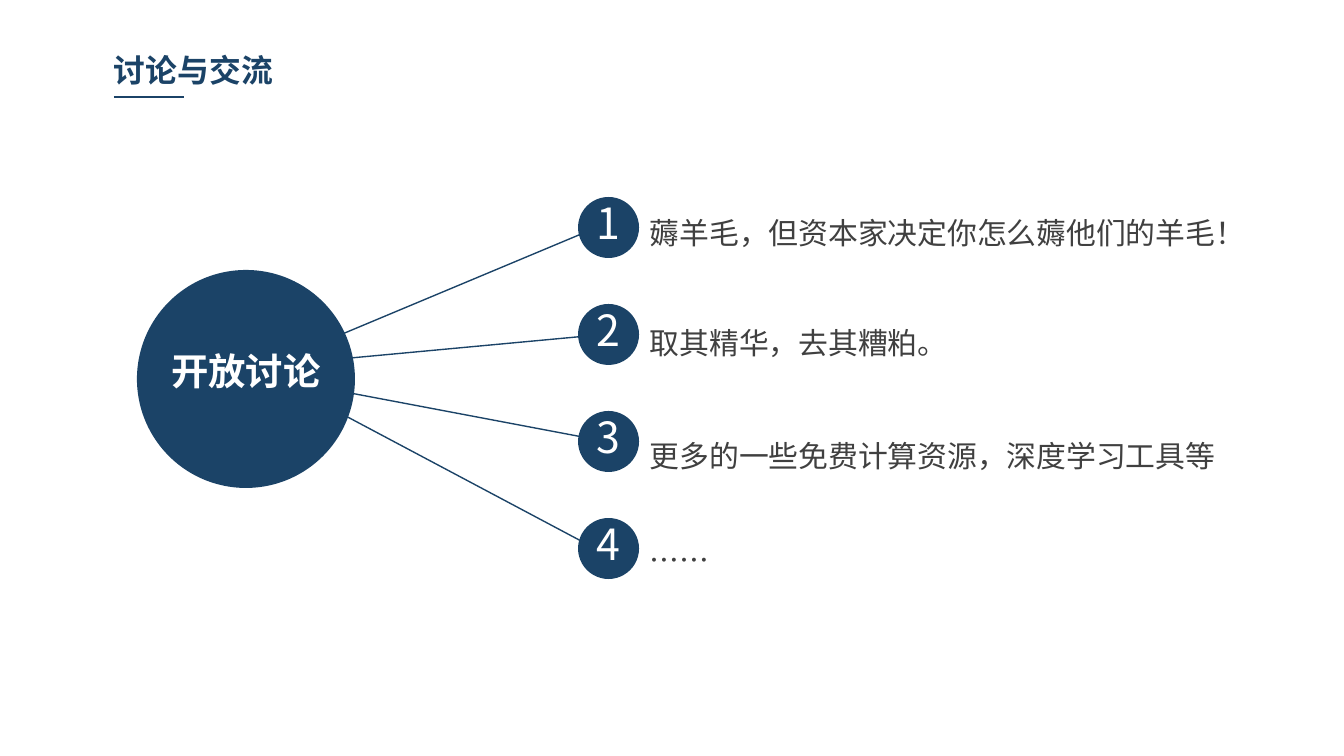
from pptx import Presentation, util as u
from pptx.dml.color import RGBColor
from pptx.enum import shapes, text
from pptx.oxml.ns import qn
from lxml import etree

# Content: wording, top of its text box, start and end of its spoke
TITLE = "讨论与交流"
HUB = "开放讨论"
TOPICS = [
    ("薅羊毛，但资本家决定你怎么薅他们的羊毛！", 192, (266, 366), (598, 227)),
    ("取其精华，去其糟粕。", 302, (265, 366), (598, 335)),
    ("更多的一些免费计算资源，深度学习工具等", 415, (276, 379), (609, 442)),
    ("……", 519, (276, 379), (598, 550)),
]
COLORS = {"navy": "1B4367", "white": "FFFFFF", "body": "404040"}
FONT = "Noto Sans CJK SC"

# Layout in px
EMU_PER_PX = 914400 / 134.4
HUB_LEFT, HUB_TOP, HUB_SIZE = 137, 270, 218
BADGE_LEFT, BADGE_TOP, BADGE_SIZE, BADGE_STEP = 578, 197, 61, 107


def px(value):
    return u.Emu(round(value * EMU_PER_PX))


def color(name):
    return RGBColor.from_string(COLORS[name])


def add_text(wording, left, top, width, height, *, size, fill, bold=False,
             align=text.PP_ALIGN.LEFT, spacing=None, inset=(0, 0)):
    shape = slide.shapes.add_textbox(px(left), px(top), px(width), px(height))
    frame = shape.text_frame
    frame.word_wrap = True
    frame.margin_left = frame.margin_right = px(inset[0])
    frame.margin_top = frame.margin_bottom = px(inset[1])
    paragraph = frame.paragraphs[0]
    paragraph.alignment = align
    paragraph.line_spacing = spacing
    run = paragraph.add_run()
    run.text = wording
    run.font.size, run.font.bold, run.font.name = u.Pt(size), bold, FONT
    run.font.color.rgb = color(fill)
    east_asian = etree.SubElement(run.font._element, qn("a:ea"))
    east_asian.set("typeface", FONT)


def add_line(start, end):
    line = slide.shapes.add_connector(
        shapes.MSO_CONNECTOR.STRAIGHT, *map(px, start + end))
    line.line.color.rgb = color("navy")
    line.line.width = u.Pt(0.75)
    etree.SubElement(line._element.spPr, qn("a:effectLst"))


def add_circle(left, top, size):
    circle = slide.shapes.add_shape(
        shapes.MSO_SHAPE.OVAL, px(left), px(top), px(size), px(size))
    circle.shadow.inherit = False
    circle.fill.solid()
    circle.fill.fore_color.rgb = color("navy")
    circle.line.fill.background()


presentation = Presentation()
presentation.slide_width, presentation.slide_height = px(1344), px(756)
slide = presentation.slides.add_slide(presentation.slide_layouts[6])

# Title and its underline
add_text(TITLE, 105, 46, 332, 48, size=17, fill="navy", bold=True, inset=(9, 5))
add_line((114, 97), (184, 97))

# Spokes, behind the circles
for _, _, start, end in TOPICS:
    add_line(start, end)

# Numbered topics
for index, (wording, text_top, _, _) in enumerate(TOPICS):
    top = BADGE_TOP + index * BADGE_STEP
    add_circle(BADGE_LEFT, top, BADGE_SIZE)
    add_text(str(index + 1), BADGE_LEFT, top, BADGE_SIZE, 66, size=23,
             fill="white", align=text.PP_ALIGN.CENTER)
    add_text(wording, 641, text_top, 616, 58, size=16, fill="body",
             spacing=1.5, inset=(9, 5))

# Hub
add_circle(HUB_LEFT, HUB_TOP, HUB_SIZE)
add_text(HUB, HUB_LEFT, 348, HUB_SIZE, 59, size=20, fill="white", bold=True,
         align=text.PP_ALIGN.CENTER)

presentation.save("out.pptx")
